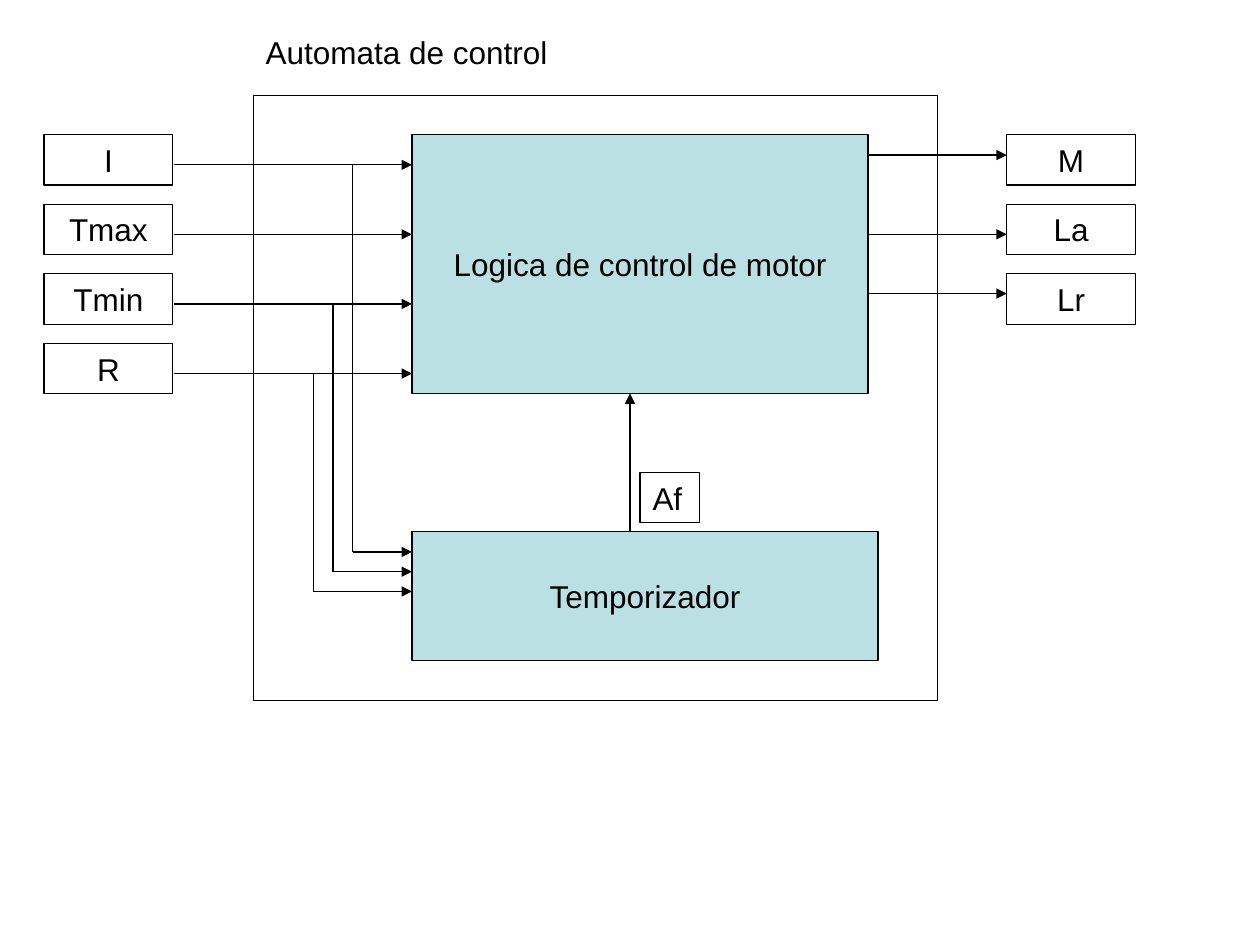
import dataclasses
import typing

import pptx
import pptx.dml.color
import pptx.enum.shapes
import pptx.enum.text
import pptx.oxml
import pptx.oxml.ns
import pptx.util

Pt = pptx.util.Pt
Align = pptx.enum.text.PP_ALIGN
Anchor = pptx.enum.text.MSO_ANCHOR

BLACK = "000000"
PALE_TEAL = "BBE0E3"
LINE_WIDTH = 0.75

ROW_TOP = 77
ROW_PITCH = 39.75
SIGNAL_WIDTH = 73.5
SIGNAL_HEIGHT = 28.8
INPUT_LEFT = 25.2
OUTPUT_LEFT = 575.3
INPUT_ARROW_LEFT = 99.2
INPUT_ARROW_TOP = 94.2
BLOCK_LEFT = 235.4
LOGIC_RIGHT = 496.1
LOGIC_BOTTOM = 224.8
TIMER_TOP = 303.8
TAP_LEFT = 201.6
TAP_BOTTOM = 315.4
TAP_PITCH = 11.3

INPUTS = ["I", "Tmax", "Tmin", "R"]
OUTPUTS = ["M", "La", "Lr"]
OUTPUT_ARROW_TOPS = [88.6, 133.9, 167.8]
TIMER_INPUTS = ["I", "Tmin", "R"]


@dataclasses.dataclass
class Block:
    left: float
    top: float
    width: float
    height: float
    text: str = ""
    fill: typing.Optional[str] = None
    align: Align = Align.CENTER
    anchor: Anchor = Anchor.TOP
    wrap: bool = True


@dataclasses.dataclass
class Wire:
    start: tuple[float, float]
    end: tuple[float, float]
    arrow: bool = True


def color(value: str) -> pptx.dml.color.RGBColor:
    return pptx.dml.color.RGBColor.from_string(value)


def write_text(shape, block: Block) -> None:
    frame = shape.text_frame
    frame.word_wrap = block.wrap
    frame.vertical_anchor = block.anchor
    frame.margin_left = frame.margin_right = Pt(7.2)
    frame.margin_top = frame.margin_bottom = Pt(3.6)
    para = frame.paragraphs[0]
    para.text = block.text
    para.alignment = block.align
    para.font.name = "Arial"
    para.font.size = Pt(18)
    para.font.color.rgb = color(BLACK)


def draw_block(page, block: Block) -> None:
    box = page.shapes.add_shape(
        pptx.enum.shapes.MSO_SHAPE.RECTANGLE,
        Pt(block.left), Pt(block.top), Pt(block.width), Pt(block.height))
    box.shadow.inherit = False
    if block.fill:
        box.fill.solid()
        box.fill.fore_color.rgb = color(block.fill)
    else:
        box.fill.background()
    box.line.color.rgb = color(BLACK)
    box.line.width = Pt(LINE_WIDTH)
    if block.text:
        write_text(box, block)


def draw_title(page, block: Block) -> None:
    box = page.shapes.add_textbox(
        Pt(block.left), Pt(block.top), Pt(block.width), Pt(block.height))
    write_text(box, block)


def draw_wire(page, wire: Wire) -> None:
    line = page.shapes.add_connector(
        pptx.enum.shapes.MSO_CONNECTOR.STRAIGHT,
        *map(Pt, wire.start + wire.end))
    line.line.color.rgb = color(BLACK)
    line.line.width = Pt(LINE_WIDTH)
    if wire.arrow:
        tail = pptx.oxml.parse_xml(
            f'<a:tailEnd {pptx.oxml.ns.nsdecls("a")} type="triangle"/>')
        line.line._get_or_add_ln().append(tail)
    line._element.spPr.append(
        pptx.oxml.parse_xml(f'<a:effectLst {pptx.oxml.ns.nsdecls("a")}/>'))


def signal_column(left: float, names: list[str]) -> list[Block]:
    return [
        Block(left, ROW_TOP + row * ROW_PITCH, SIGNAL_WIDTH, SIGNAL_HEIGHT, name)
        for row, name in enumerate(names)
    ]


def input_wires() -> list[Wire]:
    tops = [INPUT_ARROW_TOP + row * ROW_PITCH for row in range(len(INPUTS))]
    wires = [Wire((INPUT_ARROW_LEFT, top), (BLOCK_LEFT, top)) for top in tops]
    for order, name in enumerate(TIMER_INPUTS):
        left = TAP_LEFT - order * TAP_PITCH
        bottom = TAP_BOTTOM + order * TAP_PITCH
        wires.append(Wire((left, tops[INPUTS.index(name)]), (left, bottom), False))
        wires.append(Wire((left, bottom), (BLOCK_LEFT, bottom)))
    return wires


def main() -> None:
    deck = pptx.Presentation()
    deck.slide_width = Pt(720)
    deck.slide_height = Pt(540)
    page = deck.slides.add_slide(deck.slide_layouts[6])

    blocks = [
        Block(144.7, 54.7, 391, 345.6),
        *signal_column(INPUT_LEFT, INPUTS),
        Block(365.8, 270, 33.9, SIGNAL_HEIGHT, "Af", align=Align.LEFT),
        *signal_column(OUTPUT_LEFT, OUTPUTS),
        Block(BLOCK_LEFT, TIMER_TOP, 266.4, 73.5, "Temporizador",
              PALE_TEAL, anchor=Anchor.MIDDLE, wrap=False),
        Block(BLOCK_LEFT, ROW_TOP, LOGIC_RIGHT - BLOCK_LEFT,
              LOGIC_BOTTOM - ROW_TOP, "Logica de control de motor",
              PALE_TEAL, anchor=Anchor.MIDDLE, wrap=False),
    ]
    for block in blocks:
        draw_block(page, block)

    wires = [
        Wire((360, TIMER_TOP), (360, LOGIC_BOTTOM)),
        *input_wires(),
        *(Wire((LOGIC_RIGHT, top), (OUTPUT_LEFT, top))
          for top in OUTPUT_ARROW_TOPS),
    ]
    for wire in wires:
        draw_wire(page, wire)

    draw_title(page, Block(144.7, 15.1, 272.2, SIGNAL_HEIGHT,
                           "Automata de control", align=Align.LEFT))
    deck.save("out.pptx")


if __name__ == "__main__":
    main()
